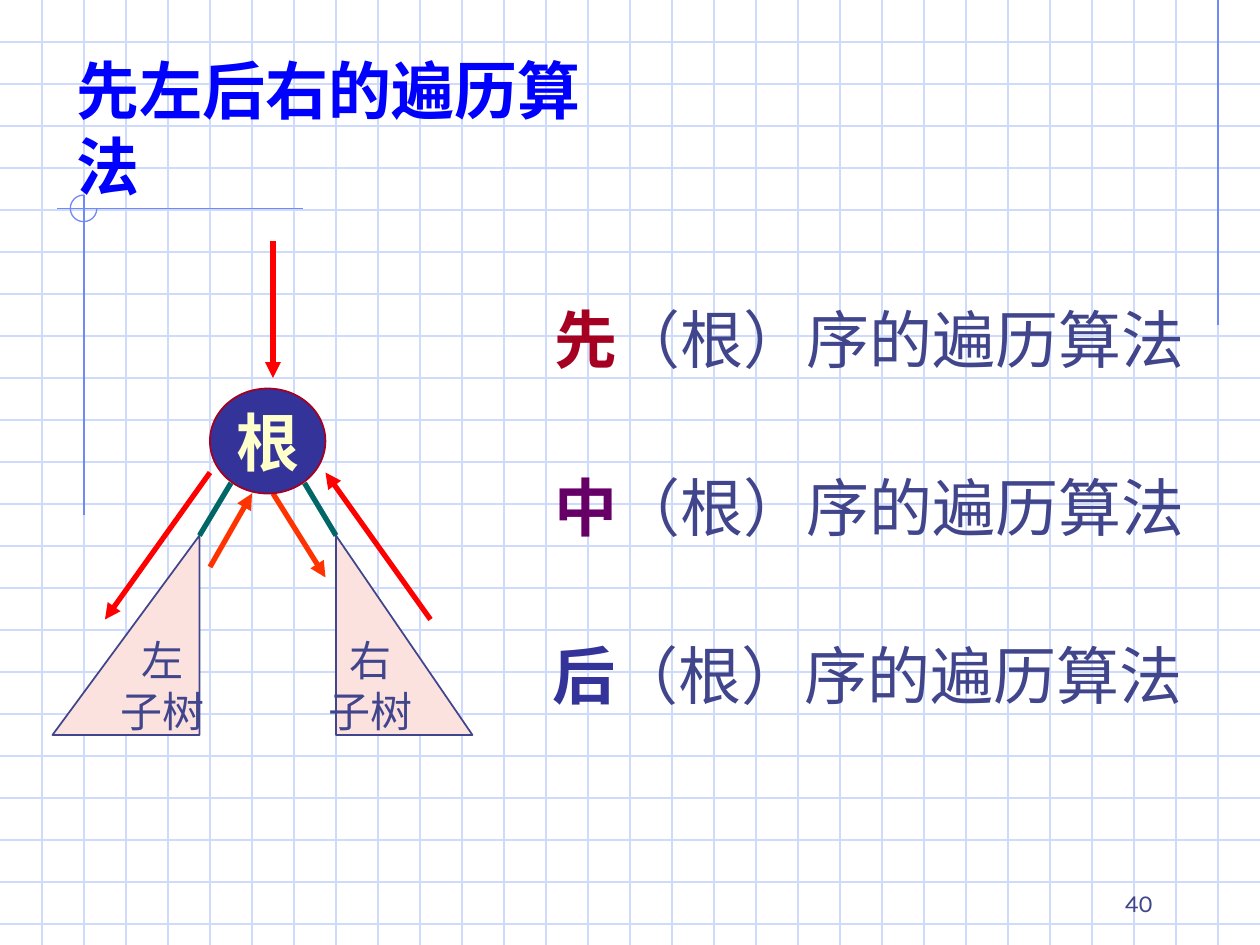
from dataclasses import dataclass

from lxml.etree import SubElement
from pptx import Presentation
from pptx.dml.color import RGBColor
from pptx.enum.shapes import MSO_CONNECTOR, MSO_SHAPE
from pptx.enum.text import MSO_ANCHOR, MSO_AUTO_SIZE, PP_ALIGN
from pptx.oxml.ns import qn
from pptx.util import Pt


@dataclass(frozen=True)
class Theme:
    grid: str = "CFDBFD"
    ornament: str = "6F89F7"
    title: str = "0000FF"
    text: str = "40458C"
    pre_order: str = "A50021"
    in_order: str = "660066"
    post_order: str = "333399"
    outer_walk: str = "FF0000"
    inner_walk: str = "FF3300"
    branch: str = "006666"
    subtree: str = "FBE2DF"
    root_text: str = "FFFFCC"
    font: str = "Times New Roman"
    number_font: str = "Karla"
    large: int = 36
    medium: int = 24
    small: int = 14


theme = Theme()


def draw_line(start, end, color, width, arrow=False):
    line = slide.shapes.add_connector(
        MSO_CONNECTOR.STRAIGHT, *[Pt(value) for value in (*start, *end)])
    line.line.color.rgb = RGBColor.from_string(color)
    line.line.width = Pt(width)
    properties = line.element.spPr
    SubElement(properties, qn("a:effectLst"))
    if arrow:
        SubElement(properties.find(qn("a:ln")), qn("a:tailEnd"), type="triangle")


def style_text(target, size, color, bold=False, name=theme.font):
    target.font.name = name
    target.font.size = Pt(size)
    target.font.bold = bold
    target.font.color.rgb = RGBColor.from_string(color)


presentation = Presentation()
presentation.slide_width = Pt(720)
presentation.slide_height = Pt(540)
slide = presentation.slides.add_slide(presentation.slide_layouts[5])

for y in range(24, 540, 24):
    draw_line((0, y), (720, y), theme.grid, 0.75)
for x in range(24, 720, 24):
    draw_line((x, 0), (x, 540), theme.grid, 0.75)

for start, end in [((696, 0), (696, 186)), ((173, 119.2), (32.5, 119.2)),
                   ((48, 111.5), (48, 294.5))]:
    draw_line(start, end, theme.ornament, 0.75)
ring = slide.shapes.add_shape(MSO_SHAPE.ARC, Pt(40.2), Pt(111.5), Pt(15.2), Pt(15.2))
ring.adjustments[0] = 0
ring.adjustments[1] = 162
ring.shadow.inherit = False
ring.fill.background()
ring.line.color.rgb = RGBColor.from_string(theme.ornament)
ring.line.width = Pt(0.75)

title = slide.shapes.title
slide.shapes.element.append(title.element)
title.left, title.top, title.width, title.height = Pt(36.7), Pt(26), Pt(338.4), Pt(50.4)
title.text_frame.text = "先左后右的遍历算法"
title.text_frame.word_wrap = False
title.text_frame.auto_size = MSO_AUTO_SIZE.SHAPE_TO_FIT_TEXT
title.text_frame.vertical_anchor = MSO_ANCHOR.TOP
title.text_frame.paragraphs[0].alignment = PP_ALIGN.LEFT
style_text(title.text_frame.paragraphs[0], theme.large, theme.title, True)

orders = [("先", theme.pre_order, 309.8), ("中", theme.in_order, 309.8),
          ("后", theme.post_order, 308.4)]
for index, (order, color, left) in enumerate(orders):
    algorithm = slide.shapes.add_textbox(
        Pt(left), Pt(168 + 96 * index), Pt(374.4), Pt(50.4)).text_frame
    algorithm.word_wrap = False
    algorithm.auto_size = MSO_AUTO_SIZE.SHAPE_TO_FIT_TEXT
    for words, word_color, bold in [(order, color, True),
                                    ("（根）序的遍历算法", theme.text, False)]:
        run = algorithm.paragraphs[0].add_run()
        run.text = words
        style_text(run, theme.large, word_color, bold)

for start, end in [((156, 138), (156, 216)), ((120, 270), (60, 354)),
                   ((246, 354), (186, 270))]:
    draw_line(start, end, theme.outer_walk, 3, True)

nodes = [
    (MSO_SHAPE.ISOSCELES_TRIANGLE, (30, 306, 84, 114), 1, ["左", "子树"],
     theme.subtree, theme.text, theme.medium, theme.text, False),
    (MSO_SHAPE.ISOSCELES_TRIANGLE, (192, 306, 78, 114), 0, ["右", "子树"],
     theme.subtree, theme.text, theme.medium, theme.text, False),
    (MSO_SHAPE.OVAL, (120, 222, 66, 60), None, ["根"],
     theme.post_order, theme.pre_order, theme.large, theme.root_text, True),
]
for kind, place, apex, labels, fill, outline, size, color, bold in nodes:
    if kind == MSO_SHAPE.OVAL:
        for start, end in [((132, 276), (114, 306)), ((174, 276), (192, 306))]:
            draw_line(start, end, theme.branch, 3)
        for start, end in [((120, 324), (144, 282)), ((156, 282), (186, 330))]:
            draw_line(start, end, theme.inner_walk, 3, True)
    node = slide.shapes.add_shape(kind, *[Pt(value) for value in place])
    if apex is not None:
        node.adjustments[0] = apex
    node.shadow.inherit = False
    node.fill.solid()
    node.fill.fore_color.rgb = RGBColor.from_string(fill)
    node.line.color.rgb = RGBColor.from_string(outline)
    node.line.width = Pt(1)
    node.text_frame.word_wrap = False
    node.text_frame.vertical_anchor = MSO_ANCHOR.MIDDLE
    node.text_frame.text = "\n".join(labels)
    for paragraph in node.text_frame.paragraphs:
        paragraph.alignment = PP_ALIGN.CENTER
        style_text(paragraph, size, color, bold)

page = slide.shapes.add_textbox(Pt(516), Pt(492), Pt(150), Pt(36)).text_frame
page.word_wrap = True
page.vertical_anchor = MSO_ANCHOR.BOTTOM
page.text = "40"
page.paragraphs[0].alignment = PP_ALIGN.RIGHT
style_text(page.paragraphs[0], theme.small, theme.text, name=theme.number_font)

presentation.save("out.pptx")
